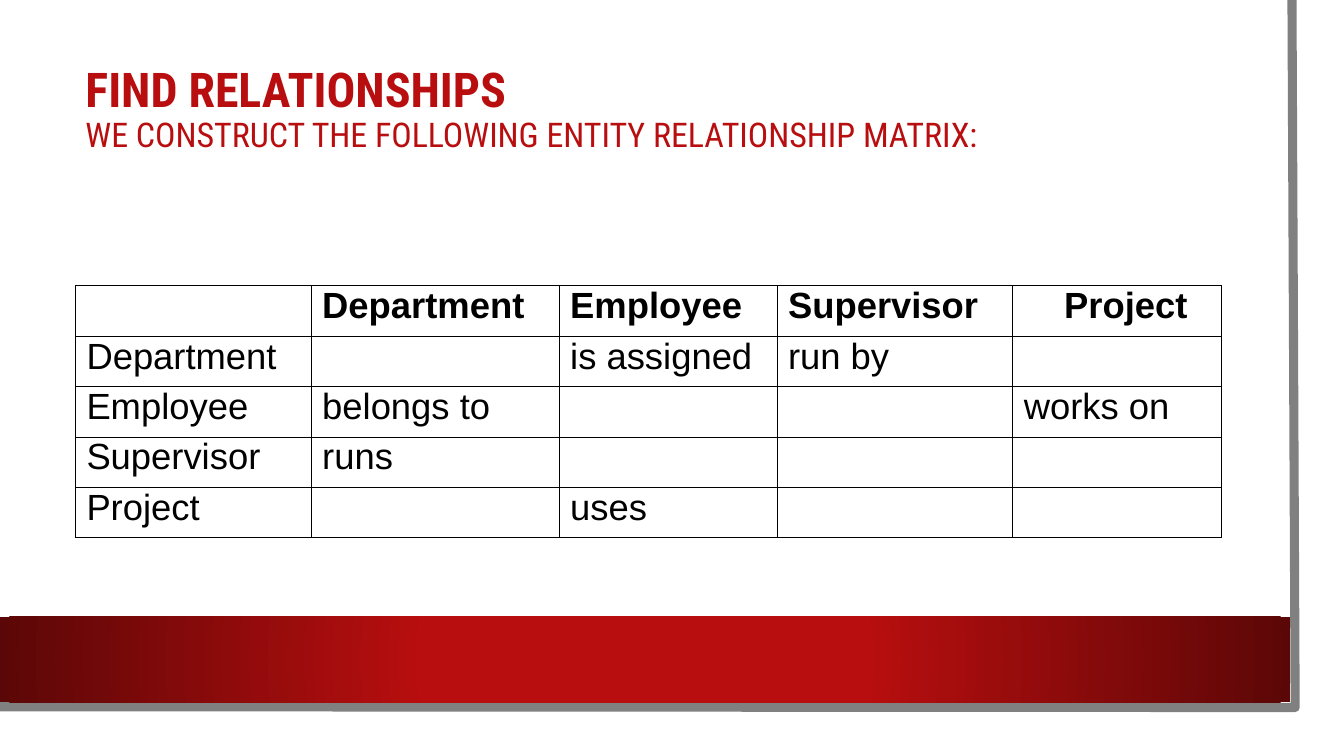
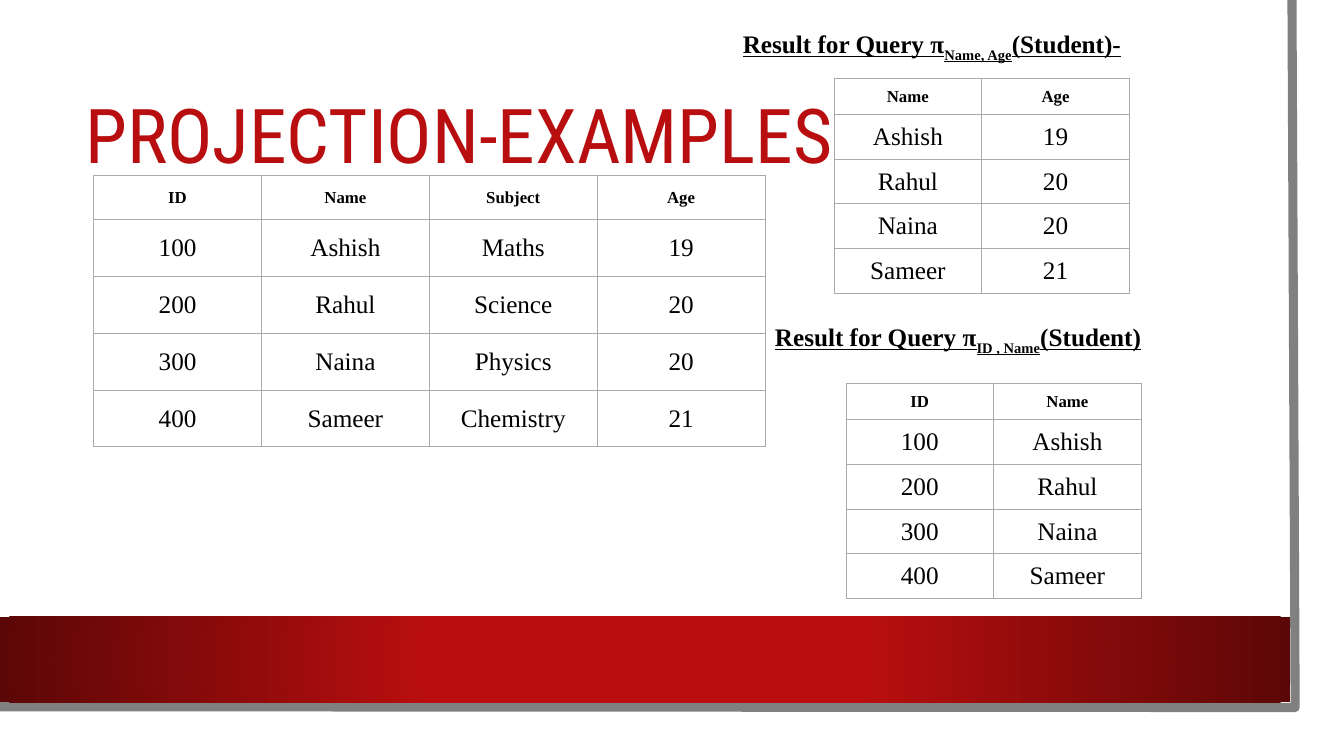
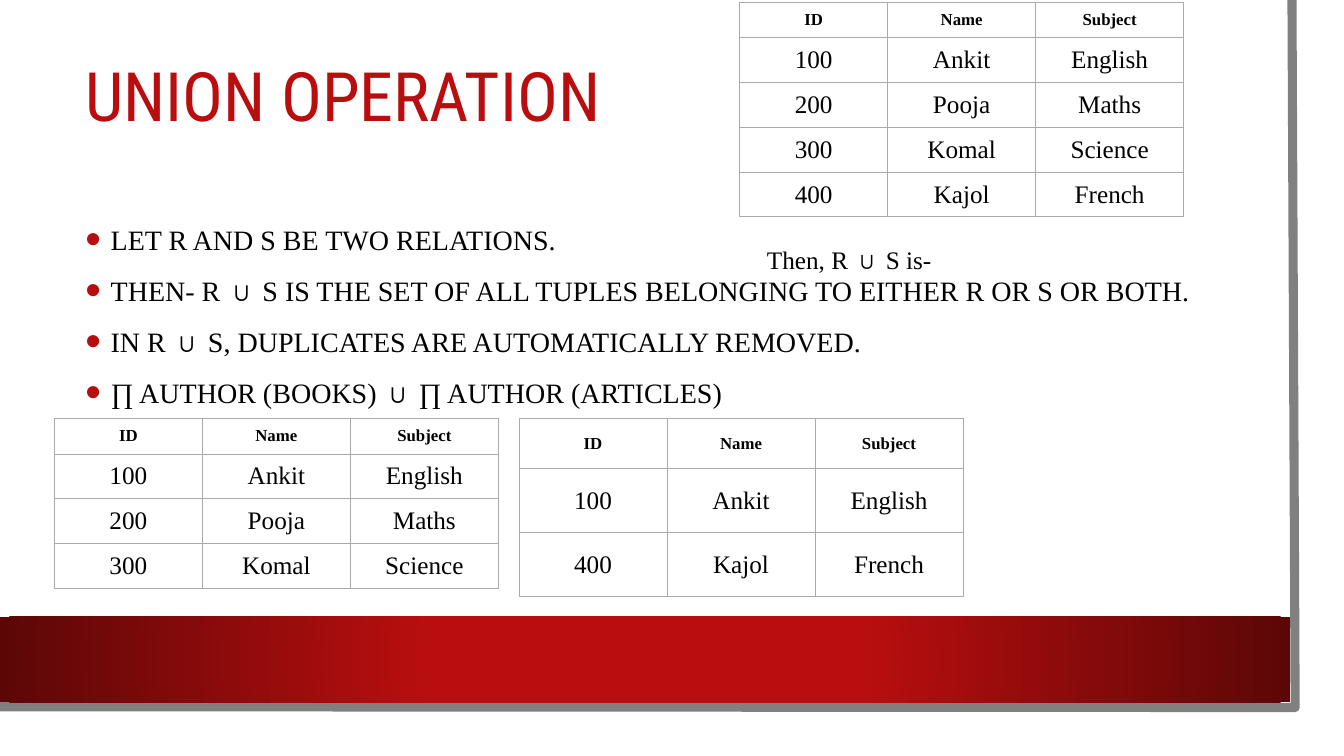
from lxml import etree
from pptx import Presentation
from pptx.dml.color import RGBColor
from pptx.enum.shapes import MSO_SHAPE
from pptx.enum.text import MSO_ANCHOR, MSO_AUTO_SIZE, PP_ALIGN
from pptx.oxml import parse_xml
from pptx.oxml.ns import nsdecls, qn
from pptx.util import Cm, Pt

COLORS = {"red": "B80E0F", "dark": "5C0707", "gray": "808080",
          "grid": "AAAAAA", "black": "000000", "white": "FFFFFF"}
RGB = {name: RGBColor.from_string(value) for name, value in COLORS.items()}
SERIF = "Times New Roman"


def write(p, text, font=SERIF, size=18, color="black", bold=False,
          underline=False, baseline=0):
    r = p.add_run()
    r.text = text
    f = r.font
    f.name, f.size, f.bold, f.underline = font, Pt(size), bold, underline
    f.color.rgb = RGB[color]
    if baseline:
        r._r.get_or_add_rPr().set("baseline", str(baseline * 1000))


def add_grid(s, rows, left, top, widths, head, height, font=SERIF, sizes=(12, 18),
             margins=(0.25, 0.2), anchor=MSO_ANCHOR.MIDDLE, align=PP_ALIGN.CENTER,
             border="grid", line=0.75):
    total = head + height * (len(rows) - 1)
    tbl = s.shapes.add_table(len(rows), len(widths), Cm(left), Cm(top),
                             Cm(sum(widths)), Cm(total)).table
    tbl.horz_banding = tbl.first_row = False
    for col, width in zip(tbl.columns, widths):
        col.width = Cm(width)
    for i, row in enumerate(rows):
        tbl.rows[i].height = Cm(height if i else head)
        for j, text in enumerate(row):
            cell = tbl.cell(i, j)
            cell.margin_left = cell.margin_right = Cm(margins[0])
            cell.margin_top = cell.margin_bottom = Cm(margins[1])
            cell.vertical_anchor = anchor
            p = cell.text_frame.paragraphs[0]
            p.alignment = align
            if text:
                write(p, text, font=font, size=sizes[min(i, 1)], bold=i == 0)
            # Borders come before the fill in the cell properties
            tcPr = cell._tc.get_or_add_tcPr()
            for side in ("lnL", "lnR", "lnT", "lnB"):
                tcPr.append(parse_xml(
                    f'<a:{side} {nsdecls("a")} w="{Pt(line)}"><a:solidFill>'
                    f'<a:srgbClr val="{COLORS[border]}"/></a:solidFill></a:{side}>'))
            cell.fill.solid()
            cell.fill.fore_color.rgb = RGB["white"]
    return tbl


prs = Presentation()
prs.slide_width, prs.slide_height = Cm(33.87), Cm(19.05)
layout = prs.slide_layouts[5]

# Slides and titles: top in cm, then lines of text, size and bold
titles = [
    (1.19, [("FIND RELATIONSHIPS", 34.2, True),
            ("WE CONSTRUCT THE FOLLOWING ENTITY RELATIONSHIP MATRIX:", 24.3, False)]),
    (1.9, [("PROJECTION-EXAMPLES", 54, False)]),
    (0.91, [("UNION OPERATION", 48.6, False)]),
]
for top, lines in titles:
    title = prs.slides.add_slide(layout).shapes.title
    title.left, title.top, title.width, title.height = Cm(1.9), Cm(top), Cm(28.88), Cm(3.2)
    tf = title.text_frame
    tf.word_wrap, tf.auto_size = True, MSO_AUTO_SIZE.NONE
    tf.vertical_anchor = MSO_ANCHOR.MIDDLE
    for i, (text, size, bold) in enumerate(lines):
        p = tf.add_paragraph() if i else tf.paragraphs[0]
        p.alignment, p.line_spacing, p.space_before = PP_ALIGN.LEFT, 0.9, Pt(0)
        write(p, text, font="Roboto Condensed", size=size, color="red", bold=bold)
matrix, projection, union = prs.slides

# Shared frame and band, moved to the layout
builder = matrix.shapes.build_freeform(Cm(32.56), 0)
builder.add_line_segments([(Cm(32.64), Cm(17.83)), (Cm(-0.08), Cm(17.81))], close=False)
frame = builder.convert_to_shape()
frame.fill.background()
frame.line.color.rgb, frame.line.width = RGB["gray"], Pt(6.5)

band = matrix.shapes.add_shape(MSO_SHAPE.RECTANGLE, 0, Cm(15.54), Cm(32.51), Cm(2.16))
band.line.fill.background()
band.fill.gradient()
for stop, color, position in zip(band.fill.gradient_stops, ("red", "dark"), (0.34, 1)):
    stop.color.rgb, stop.position = RGB[color], position
grad = band._element.spPr.find(qn("a:gradFill"))
grad.remove(grad.find(qn("a:lin")))
path = etree.SubElement(grad, qn("a:path"), path="circle")
etree.SubElement(path, qn("a:fillToRect"), l="50000", t="50000", r="50000", b="50000")

for i, sp in enumerate((frame, band)):
    sp.shadow.inherit = False
    layout.shapes._spTree.insert(2 + i, sp._element)

# Slide 1: entity relationship matrix
tbl = add_grid(matrix, [
    ["", "Department", "Employee", "Supervisor", "Project"],
    ["Department", "", "is assigned", "run by", ""],
    ["Employee", "belongs to", "", "", "works on"],
    ["Supervisor", "runs", "", "", ""],
    ["Project", "", "uses", "", ""],
], 1.9, 7.2, [5.94, 6.25, 5.49, 5.94, 5.26], 1.27, 1.27, font="Arial", sizes=(26, 26),
    margins=(0.28, 0), anchor=MSO_ANCHOR.TOP, align=PP_ALIGN.LEFT,
    border="black", line=0.5)
tbl.cell(0, 4).margin_left = Cm(1.3)

# Slide 2: the student relation and its projections
students = [["ID", "Name", "Subject", "Age"],
            ["100", "Ashish", "Maths", "19"],
            ["200", "Rahul", "Science", "20"],
            ["300", "Naina", "Physics", "20"],
            ["400", "Sameer", "Chemistry", "21"]]
add_grid(projection, students, 2.36, 4.43, [4.23] * 4, 1.11, 1.43)
add_grid(projection, [[row[1], row[3]] for row in students], 21.02, 1.98, [3.72] * 2, 0.9, 1.13)
add_grid(projection, [row[:2] for row in students], 21.32, 9.67, [3.72] * 2, 0.9, 1.13)

# Slide 3: two relations and their union
subjects = [["ID", "Name", "Subject"],
            ["100", "Ankit", "English"],
            ["200", "Pooja", "Maths"],
            ["300", "Komal", "Science"],
            ["400", "Kajol", "French"]]
add_grid(union, subjects[:4], 1.37, 10.54, [3.73] * 3, 0.9, 1.13)
add_grid(union, subjects[:2] + subjects[4:], 13.08, 10.54, [3.73] * 3, 1.27, 1.61)
add_grid(union, subjects, 18.64, 0.05, [3.73] * 3, 0.9, 1.13)

# Captions of the result tables
heading = {"bold": True, "underline": True}
subscript = {**heading, "baseline": -25}
captions = [
    (projection, 18.47, 0.6, [("Result for Query π", heading), ("Name, Age", subscript),
                              ("(Student)-", heading)]),
    (projection, 19.28, 7.98, [("Result for Query π", heading), ("ID , Name", subscript),
                               ("(Student)", heading)]),
    (union, 19.08, 6.02, [("Then, R ∪ S is-", {})]),
]
for s, left, top, runs in captions:
    tf = s.shapes.add_textbox(Cm(left), Cm(top), Cm(12.3), Cm(1.02)).text_frame
    tf.word_wrap = True
    for text, fmt in runs:
        write(tf.paragraphs[0], text, **fmt)

# Slide 3: bullets
points = ["LET R AND S BE TWO RELATIONS.",
          "THEN- R ∪ S IS THE SET OF ALL TUPLES BELONGING TO EITHER R OR S OR BOTH.",
          "IN R ∪ S, DUPLICATES ARE AUTOMATICALLY REMOVED.",
          "∏ AUTHOR (BOOKS) ∪ ∏ AUTHOR (ARTICLES)"]
tf = union.shapes.add_textbox(Cm(1.9), Cm(5.4), Cm(28.88), Cm(5)).text_frame
tf.word_wrap = True
for i, text in enumerate(points):
    p = tf.add_paragraph() if i else tf.paragraphs[0]
    p.line_spacing, p.space_before = 1.1, Pt(10 if i else 0)
    pPr = p._p.get_or_add_pPr()
    pPr.set("marL", str(Cm(0.64)))
    pPr.set("indent", str(Cm(-0.64)))
    color = etree.SubElement(pPr, qn("a:buClr"))
    etree.SubElement(color, qn("a:srgbClr"), val=COLORS["red"])
    etree.SubElement(pPr, qn("a:buSzPct"), val="160000")
    etree.SubElement(pPr, qn("a:buFont"), typeface="Arial")
    etree.SubElement(pPr, qn("a:buChar"), char="•")
    write(p, text, size=20)

prs.save("out.pptx")
